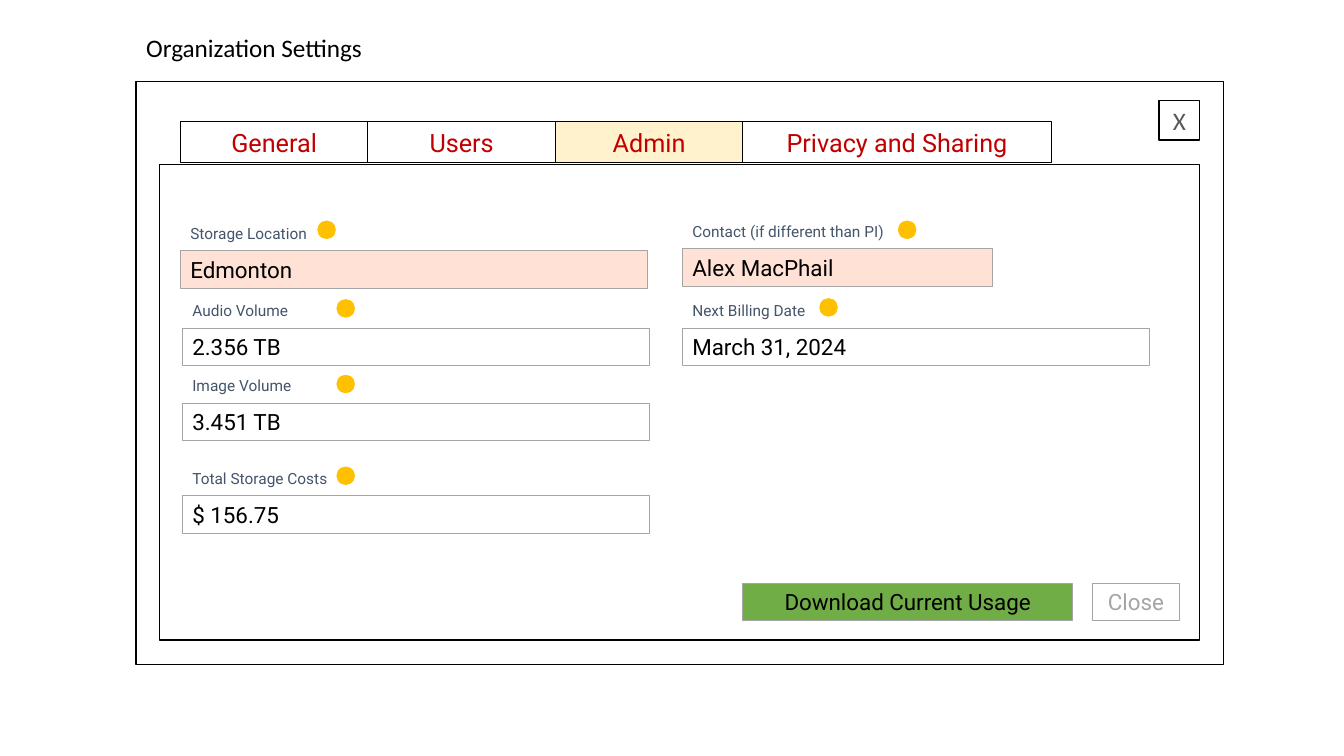
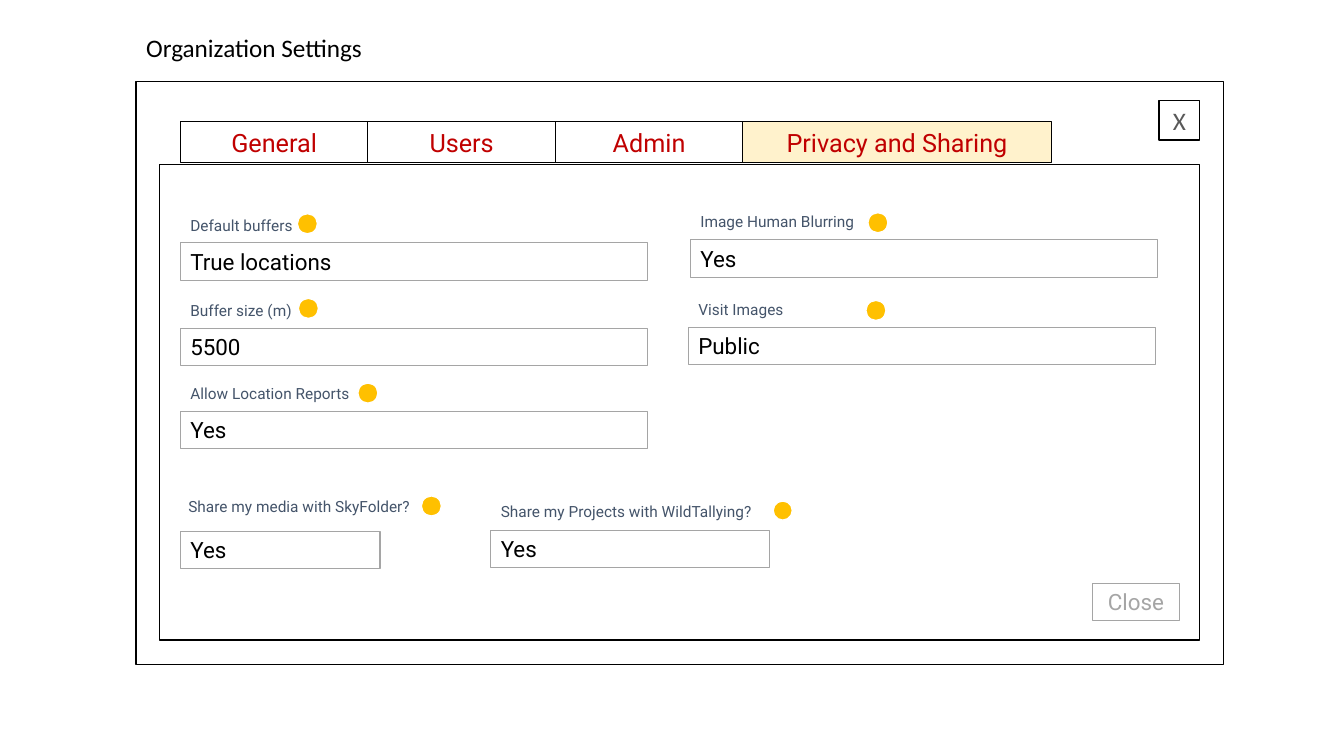
from dataclasses import dataclass

import pptx
import pptx.dml.color
import pptx.enum.shapes
import pptx.enum.text
import pptx.util

RECT = pptx.enum.shapes.MSO_SHAPE.RECTANGLE
OVAL = pptx.enum.shapes.MSO_SHAPE.OVAL
TOP = pptx.enum.text.MSO_ANCHOR.TOP
MIDDLE = pptx.enum.text.MSO_ANCHOR.MIDDLE
LEFT = pptx.enum.text.PP_ALIGN.LEFT
CENTER = pptx.enum.text.PP_ALIGN.CENTER

SLIDE_W, SLIDE_H = pptx.util.Inches(13.333), pptx.util.Inches(7.5)
CELL = SLIDE_H / 75  # square grid: 75 rows on every slide


@dataclass(frozen=True)
class Theme:
    black: str = "000000"
    white: str = "FFFFFF"
    tab: str = "C00000"
    active_tab: str = "FFF2CC"
    label: str = "44546A"
    border: str = "A5A5A5"
    cross: str = "595959"
    editable: str = "FFE2D5"
    marker: str = "FFC000"
    action: str = "70AD47"
    title_font: str = "Calibri"
    body_font: str = "Roboto"
    large: int = 18
    medium: int = 16
    small: int = 11


T = Theme()


@dataclass(frozen=True)
class Field:
    """A labelled input: box corner, marker offset from that corner, and label rise."""
    label: str
    value: str
    col: float
    row: float
    dot_col: float
    dot_rise: float = 3
    width: float = 46.3
    label_rise: float = 3.2
    label_shift: float = 0
    label_width: float = 27
    dot_size: float = 2
    fill: str = None


TABS = [("General", 18.6), ("Users", 18.6), ("Admin", 18.6), ("Privacy and Sharing", 30.6)]
TAB_COL, TAB_ROW, TAB_H = 17.9, 12.1, 4
FIELD_H = 3.7
BUTTON_ROW = 57.9

ADMIN_FIELDS = [
    Field("Storage Location", "Edmonton", 17.9, 24.9, 13.5, 3.1, fill=T.editable),
    Field("Audio Volume", "2.356 TB", 18.1, 32.6, 15.2),
    Field("Image Volume", "3.451 TB", 18.1, 40, 15.2, 2.9),
    Field("Total Storage Costs", "$ 156.75", 18.1, 49.2, 15.2),
    Field("Contact (if different than PI)", "Alex MacPhail", 67.7, 24.7, 21.3, 2.9,
          width=30.8, fill=T.editable),
    Field("Next Billing Date", "March 31, 2024", 67.7, 32.6, 13.5, 3.1),
]
PRIVACY_FIELDS = [
    Field("Default buffers", "True locations", 17.9, 24.1, 11.6, 2.9),
    Field("Buffer size (m)", "5500", 17.9, 32.6, 11.7),
    Field("Allow Location Reports", "Yes", 17.9, 40.8, 17.6, 2.8),
    Field("Image Human Blurring", "Yes", 68.5, 23.8, 17.6, 2.7),
    Field("Visit Images", "Public", 68.3, 32.5, 17.6, 2.7),
    Field("Share my media with SkyFolder?", "Yes", 17.9, 52.7, 23.9, 3.5,
          width=19.8, label_rise=3.9, label_shift=-0.2),
    Field("Share my Projects with WildTallying?", "Yes", 48.7, 52.6, 28, 2.9,
          width=27.6, label_rise=3.3, label_width=35, dot_size=1.9),
]


def grid(*cells):
    return [pptx.util.Emu(round(n * CELL)) for n in cells]


def rgb(color):
    return pptx.dml.color.RGBColor.from_string(color)


def write(sp, text, size=T.medium, color=T.black, font=T.body_font, align=LEFT, anchor=TOP):
    tf = sp.text_frame
    tf.word_wrap = True
    tf.auto_size = pptx.enum.text.MSO_AUTO_SIZE.NONE
    tf.vertical_anchor = anchor
    p = tf.paragraphs[0]
    p.alignment = align
    r = p.add_run()
    r.text = text
    r.font.size = pptx.util.Pt(size)
    r.font.name = font
    r.font.color.rgb = rgb(color)


def box(shapes, at, kind=RECT, fill=None, line=T.black, weight=1):
    sp = shapes.add_shape(kind, *grid(*at))
    sp.shadow.inherit = False
    if fill:
        sp.fill.solid()
        sp.fill.fore_color.rgb = rgb(fill)
    else:
        sp.fill.background()
    sp.line.color.rgb = rgb(line)
    sp.line.width = pptx.util.Pt(weight)
    return sp


def button(shapes, text, col, width, color, fill=None):
    sp = box(shapes, (col, BUTTON_ROW, width, FIELD_H), fill=fill, line=T.border, weight=0.75)
    write(sp, text, color=color, align=CENTER)


def tab_bar(shapes, active):
    col = TAB_COL
    for name, width in TABS:
        fill = T.active_tab if name == active else None
        sp = box(shapes, (col, TAB_ROW, width, TAB_H), fill=fill, weight=0.75)
        write(sp, name, size=T.large, color=T.tab, align=CENTER, anchor=MIDDLE)
        col += width


def field(shapes, f):
    group = shapes.add_group_shape().shapes
    sp = box(group, (f.col, f.row, f.width, FIELD_H), fill=f.fill, line=T.border, weight=0.75)
    write(sp, f.value)
    label = group.add_textbox(
        *grid(f.col + f.label_shift, f.row - f.label_rise, f.label_width, 2.9))
    write(label, f.label, size=T.small, color=T.label)
    box(group, (f.col + f.dot_col, f.row - f.dot_rise, f.dot_size, f.dot_size),
        kind=OVAL, fill=T.marker, line=T.white)


def settings_slide(prs, active, fields):
    """Add the settings window with one tab active and its fields; return the slide."""
    s = prs.slides.add_slide(prs.slide_layouts[5])
    title = s.shapes.title
    title.left, title.top, title.width, title.height = grid(13.5, 2.7, 66.4, 4)
    write(title, "Organization Settings", size=T.large, font=T.title_font)

    box(s.shapes, (13.5, 8.1, 107.9, 57.8))
    box(s.shapes, (15.8, 16.3, 103.2, 47.2))
    tab_bar(s.shapes, active)
    cross = box(s.shapes, (115, 10, 4, 3.9))
    write(cross, "X", size=T.large, color=T.cross, font=T.title_font,
          align=CENTER, anchor=MIDDLE)
    for f in fields:
        field(s.shapes, f)
    button(s.shapes, "Close", 108.4, 8.6, T.border)
    return s


def main():
    prs = pptx.Presentation()
    prs.slide_width, prs.slide_height = SLIDE_W, SLIDE_H
    admin = settings_slide(prs, "Admin", ADMIN_FIELDS)
    button(admin.shapes, "Download Current Usage", 73.7, 32.7, T.black, fill=T.action)
    settings_slide(prs, "Privacy and Sharing", PRIVACY_FIELDS)
    prs.save("out.pptx")


if __name__ == "__main__":
    main()
